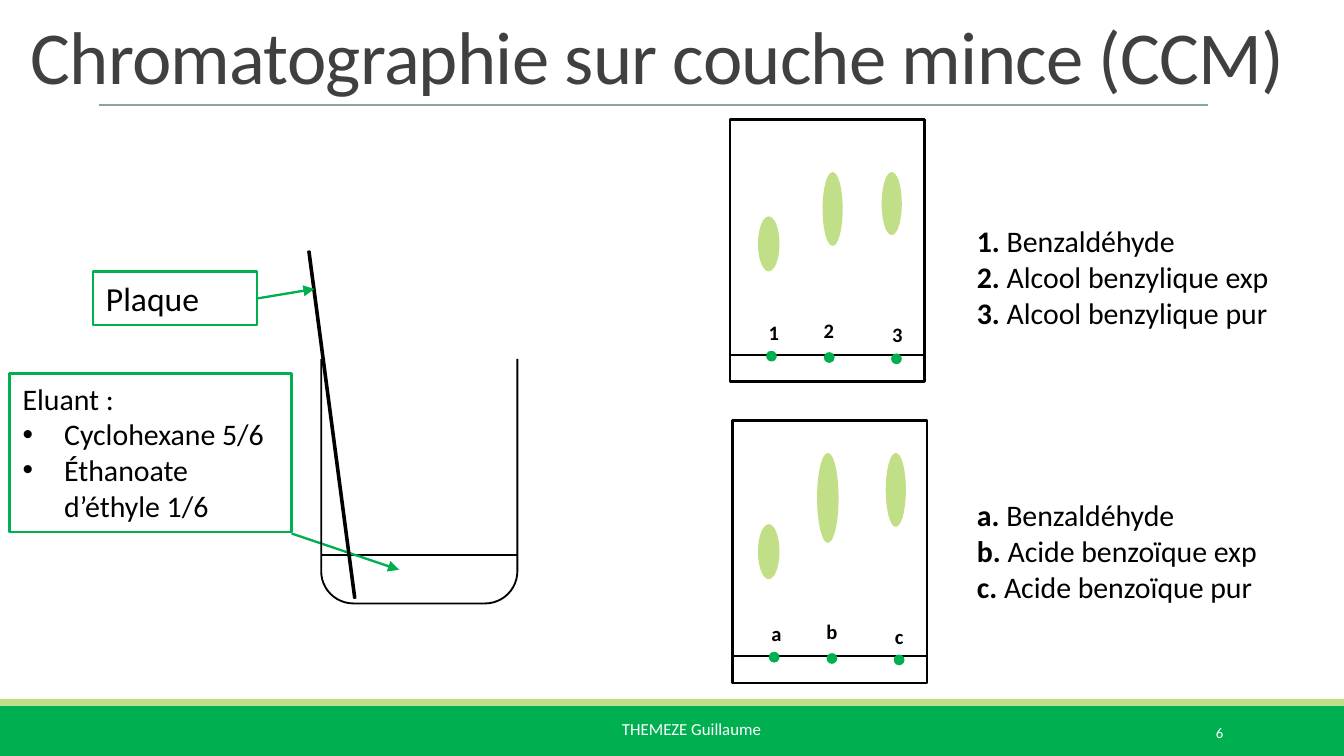
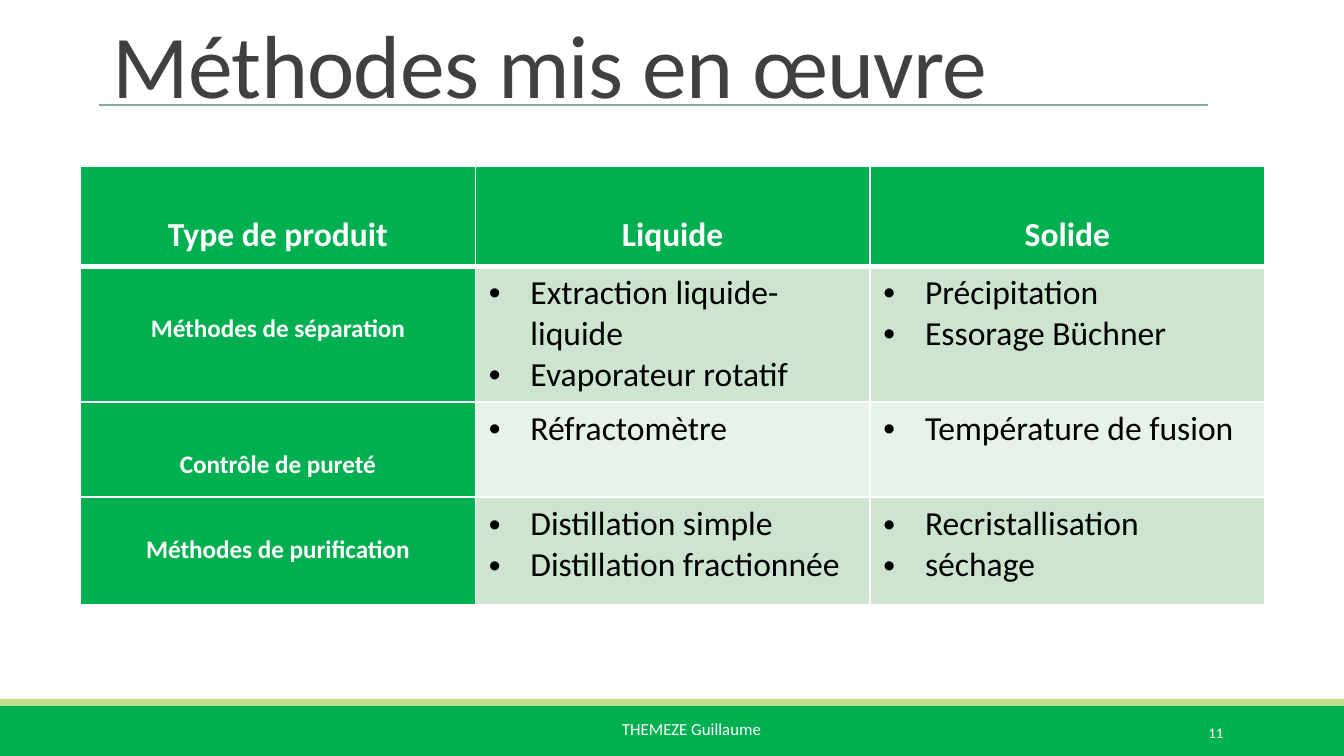
import math
from dataclasses import dataclass
from typing import Any, NamedTuple, Optional

import lxml.etree
import pptx
import pptx.dml.color
import pptx.enum.shapes
import pptx.enum.text
import pptx.oxml.ns
import pptx.util

# Colours
RGBColor = pptx.dml.color.RGBColor
GREEN = RGBColor(0x00, 0xB0, 0x50)
LIME = RGBColor(0xC1, 0xDF, 0x87)
SAGE = RGBColor(0x87, 0xA8, 0x96)
MINT = RGBColor(0xCC, 0xE4, 0xD0)
PALE_MINT = RGBColor(0xE7, 0xF2, 0xE9)
GREY = RGBColor(0xA6, 0xA6, 0xA6)
CHARCOAL = RGBColor(0x40, 0x40, 0x40)
BLACK = RGBColor(0x00, 0x00, 0x00)
WHITE = RGBColor(0xFF, 0xFF, 0xFF)

# Grid of square modules covering the slide
COLUMNS, ROWS = 100, 56.25
MODULE = pptx.util.Inches(0.1)
BULLET_INDENT = 3.1
FONT = "Calibri"

Shape = pptx.enum.shapes.MSO_SHAPE
Align = pptx.enum.text.PP_ALIGN
Anchor = pptx.enum.text.MSO_ANCHOR


class Area(NamedTuple):
    left: float
    top: float
    width: float
    height: float

    def moved(self, right: float, down: float) -> "Area":
        return Area(self.left + right, self.top + down, self.width, self.height)


class Point(NamedTuple):
    column: float
    row: float


class Span(NamedTuple):
    text: str
    bold: bool = False


class Para(NamedTuple):
    spans: tuple[Span, ...]
    bullet: bool = False


@dataclass(frozen=True)
class Style:
    size: float
    color: RGBColor = BLACK
    align: Align = Align.LEFT
    anchor: Anchor = Anchor.TOP
    wrap: bool = True
    line_spacing: Optional[float] = None
    tracking: Optional[int] = None


@dataclass(frozen=True)
class Plate:
    corner: Point
    marks: str
    stains: tuple[Area, ...]
    legend_top: float
    substances: tuple[str, ...]


def grid(modules: float) -> int:
    return round(modules * MODULE)


def set_attributes(target: Any, values: dict[str, Any]) -> None:
    for name, value in values.items():
        setattr(target, name, value)


def plain(text: str, bold: bool = False, bullet: bool = False) -> Para:
    return Para((Span(text, bold),), bullet)


# Text
def write(frame: Any, paras: list[Para], style: Style) -> None:
    for index, content in enumerate(paras):
        para = frame.paragraphs[0] if index == 0 else frame.add_paragraph()
        set_attributes(para, {"alignment": style.align, "line_spacing": style.line_spacing})
        if content.bullet:
            properties = para._p.get_or_add_pPr()
            properties.set("marL", str(grid(BULLET_INDENT)))
            properties.set("indent", str(-grid(BULLET_INDENT)))
            for tag, values in (("a:buFont", {"typeface": "Arial"}), ("a:buChar", {"char": "•"})):
                lxml.etree.SubElement(properties, pptx.oxml.ns.qn(tag), values)
        for piece in content.spans:
            span = para.add_run()
            span.text = piece.text
            set_attributes(span.font, {"name": FONT, "size": pptx.util.Pt(style.size),
                                       "bold": piece.bold})
            span.font.color.rgb = style.color
            if style.tracking is not None:
                span._r.get_or_add_rPr().set("spc", str(style.tracking))


def add_text(page: Any, area: Area, paras: list[Para], style: Style) -> None:
    box = page.shapes.add_textbox(*map(grid, area))
    set_attributes(box.text_frame, {"word_wrap": style.wrap, "vertical_anchor": style.anchor})
    write(box.text_frame, paras, style)


# Shapes and lines
def paint(shape: Any, fill: Optional[RGBColor], line: Optional[RGBColor], weight: float) -> None:
    shape.shadow.inherit = False
    for part, color in ((shape.fill, fill), (shape.line.fill, line)):
        if color is None:
            part.background()
        else:
            part.solid()
            part.fore_color.rgb = color
    if line is not None:
        shape.line.width = pptx.util.Pt(weight)


def add_shape(page: Any, kind: Shape, area: Area, fill: RGBColor,
              line: Optional[RGBColor] = None, weight: float = 1.25) -> Any:
    shape = page.shapes.add_shape(kind, *map(grid, area))
    paint(shape, fill, line, weight)
    return shape


def add_line(page: Any, start: Point, end: Point, color: RGBColor = BLACK,
             weight: float = 1, arrow: bool = False) -> None:
    line = page.shapes.add_connector(pptx.enum.shapes.MSO_CONNECTOR.STRAIGHT,
                                     *map(grid, (*start, *end)))
    line.line.color.rgb = color
    line.line.width = pptx.util.Pt(weight)
    if arrow:
        lxml.etree.SubElement(line.line._get_or_add_ln(), pptx.oxml.ns.qn("a:tailEnd"),
                              {"type": "triangle"})
    lxml.etree.SubElement(line._element.spPr, pptx.oxml.ns.qn("a:effectLst"))


def add_callout(page: Any, area: Area, paras: list[Para], size: float) -> None:
    box = add_shape(page, Shape.RECTANGLE, area, WHITE, GREEN)
    set_attributes(box.text_frame, {"word_wrap": True, "vertical_anchor": Anchor.TOP})
    write(box.text_frame, paras, Style(size))


# Shared page frame
def add_page(deck: Any, number: int, title: str, title_area: Area, title_size: float) -> Any:
    page = deck.slides.add_slide(deck.slide_layouts[6])
    add_shape(page, Shape.RECTANGLE, Area(0, 52.5, COLUMNS, ROWS - 52.5), GREEN)
    add_shape(page, Shape.RECTANGLE, Area(0, 52, COLUMNS, 0.5), LIME)
    add_line(page, Point(7.4, 7.8), Point(89.9, 7.8), SAGE)
    add_text(page, Area(45.3, 53, 12.3, 4.5), [plain("THEMEZE Guillaume")],
             Style(9, WHITE, wrap=False))
    add_text(page, Area(81.2, 53, 10.8, 3), [plain(str(number))],
             Style(7.9, WHITE, Align.RIGHT, Anchor.MIDDLE))
    add_text(page, title_area, [plain(title)],
             Style(title_size, CHARCOAL, anchor=Anchor.BOTTOM, line_spacing=0.85, tracking=-40))
    return page


# Chromatography tank
def add_beaker(page: Any, area: Area, radius: float) -> None:
    left, top, right, bottom = area.left, area.top, area.left + area.width, area.top + area.height
    steps = 12
    outline = [Point(left, top)]
    for center, first_angle in ((left + radius, 180), (right - radius, 90)):
        for step in range(steps + 1):
            angle = math.radians(first_angle - 90 * step / steps)
            outline.append(Point(center + radius * math.cos(angle),
                                 bottom - radius + radius * math.sin(angle)))
    outline.append(Point(right, top))
    builder = page.shapes.build_freeform(*map(grid, outline[0]))
    builder.add_line_segments([tuple(map(grid, point)) for point in outline[1:]], close=False)
    paint(builder.convert_to_shape(), None, BLACK, 1)


def add_tank(page: Any) -> None:
    add_line(page, Point(23.9, 41.3), Point(38.5, 41.3))
    eluent = [plain("Eluant :"), plain("Cyclohexane 5/6", bullet=True),
              plain("Éthanoate d’éthyle 1/6", bullet=True)]
    add_callout(page, Area(0.7, 27.8, 21, 11.8), eluent, 16)
    add_line(page, Point(21.7, 39.7), Point(29.7, 42.4), GREEN, 1.25, arrow=True)
    add_beaker(page, Area(23.9, 26.7, 14.6, 18.2), 2.4)
    strip = add_shape(page, Shape.PARALLELOGRAM, Area(24.4, 18.6, 0.6, 26), GREY, BLACK, 1)
    strip.adjustments[0] = 0.78
    strip.rotation = 353.5
    strip._element.spPr.xfrm.set("flipH", "1")
    add_callout(page, Area(6.9, 20.2, 12.2, 4), [plain("Plaque")], 18)
    add_line(page, Point(19.2, 22.2), Point(23.4, 21.5), GREEN, 1.25, arrow=True)


# Developed plates, with places counted from the plate's corner
PLATE_WIDTH, PLATE_HEIGHT, BASELINE = 14.5, 19.5, 17.5
DEPOSITS = (Area(2.7, 17.2, 0.8, 0.8), Area(7, 17.3, 0.8, 0.8), Area(12, 17.4, 0.8, 0.8))
MARKS = (Area(1.9, 14.4, 2.5, 2.9), Area(6, 14.3, 2.5, 2.9), Area(11.1, 14.6, 2.5, 2.9))
PLATES = (
    Plate(Point(54.3, 8.9), "123",
          (Area(2.1, 7.2, 1.6, 4.1), Area(6.9, 3.9, 1.5, 5.5), Area(11.3, 3.9, 1.5, 4.7)),
          16.1, ("Benzaldéhyde", "Alcool benzylique exp", "Alcool benzylique pur")),
    Plate(Point(54.5, 31.3), "abc",
          (Area(1.9, 7.7, 1.6, 4.1), Area(6.3, 2.4, 1.6, 6.7), Area(11.4, 2.4, 1.5, 5.5)),
          36.5, ("Benzaldéhyde", "Acide benzoïque exp", "Acide benzoïque pur")),
)


def add_plate(page: Any, plate: Plate) -> None:
    left, top = plate.corner
    add_shape(page, Shape.RECTANGLE, Area(left, top, PLATE_WIDTH, PLATE_HEIGHT), WHITE, BLACK)
    add_line(page, Point(left, top + BASELINE), Point(left + PLATE_WIDTH, top + BASELINE))
    for areas, color in ((DEPOSITS, GREEN), (plate.stains, LIME)):
        for area in areas:
            add_shape(page, Shape.OVAL, area.moved(left, top), color)
    for mark, area in zip(plate.marks, MARKS):
        add_text(page, area.moved(left, top), [plain(mark, bold=True)], Style(11))
    legend = [Para((Span(f"{mark}. ", True), Span(name)))
              for mark, name in zip(plate.marks, plate.substances)]
    add_text(page, Area(71.7, plate.legend_top, 24.9, 9.1), legend, Style(16))


# Table of methods
class MethodRow(NamedTuple):
    height: float
    label: str
    label_margin: float
    fill: RGBColor
    methods: tuple[tuple[str, ...], ...]


HEADINGS = ("Type de produit", "Liquide", "Solide")
HEADING_HEIGHT, HEADING_MARGIN = 7.4, 3.55
METHOD_ROWS = (
    MethodRow(10.1, "Méthodes de séparation", 3.55, MINT,
              (("Extraction liquide-liquide", "Evaporateur rotatif"),
               ("Précipitation", "Essorage Büchner"))),
    MethodRow(7.1, "Contrôle de pureté", 3.55, PALE_MINT,
              (("Réfractomètre",), ("Température de fusion",))),
    MethodRow(8, "Méthodes de purification", 2.8, MINT,
              (("Distillation simple", "Distillation fractionnée"),
               ("Recristallisation", "séchage"))),
)


def fill_cell(cell: Any, paras: list[Para], style: Style, fill: RGBColor,
              margin: float = 0.5, top_line: float = 1, bottom_line: float = 1) -> None:
    properties = cell._tc.get_or_add_tcPr()
    for side, weight in (("L", 1), ("R", 1), ("T", top_line), ("B", bottom_line)):
        border = lxml.etree.SubElement(properties, pptx.oxml.ns.qn(f"a:ln{side}"),
                                       {"w": str(pptx.util.Pt(weight))})
        solid = lxml.etree.SubElement(border, pptx.oxml.ns.qn("a:solidFill"))
        lxml.etree.SubElement(solid, pptx.oxml.ns.qn("a:srgbClr"), {"val": str(WHITE)})
    cell.fill.solid()
    cell.fill.fore_color.rgb = fill
    set_attributes(cell, {"margin_top": grid(margin), "vertical_anchor": Anchor.TOP})
    write(cell.text_frame, paras, style)


def add_methods(page: Any, left: float, top: float, width: float) -> None:
    heights = [HEADING_HEIGHT, *(row.height for row in METHOD_ROWS)]
    area = Area(left, top, width, sum(heights))
    table = page.shapes.add_table(len(heights), len(HEADINGS), *map(grid, area)).table
    set_attributes(table, {"first_row": True, "horz_banding": False})
    for column in table.columns:
        column.width = grid(width / len(HEADINGS))
    for table_row, height in zip(table.rows, heights):
        table_row.height = grid(height)
    for index, heading in enumerate(HEADINGS):
        fill_cell(table.cell(0, index), [plain(heading, bold=True)],
                  Style(18, WHITE, Align.CENTER), GREEN, HEADING_MARGIN, bottom_line=3)
    for number, row in enumerate(METHOD_ROWS, start=1):
        top_line = 3 if number == 1 else 1
        fill_cell(table.cell(number, 0), [plain(row.label, bold=True)],
                  Style(13.5, WHITE, Align.CENTER), GREEN, row.label_margin, top_line)
        for index, names in enumerate(row.methods, start=1):
            fill_cell(table.cell(number, index), [plain(name, bullet=True) for name in names],
                      Style(18), row.fill, top_line=top_line)


def main() -> None:
    deck = pptx.Presentation()
    set_attributes(deck, {"slide_width": grid(COLUMNS), "slide_height": grid(ROWS)})

    page = add_page(deck, 6, "Chromatographie sur couche mince (CCM)",
                    Area(1.3, 0.3, 98.7, 7.6), 40)
    add_tank(page)
    for plate in PLATES:
        add_plate(page, plate)

    page = add_page(deck, 11, "Méthodes mis en œuvre", Area(7.4, 1.6, 82.5, 7.6), 48)
    add_methods(page, 6, 12.4, 88.1)

    deck.save("out.pptx")


if __name__ == "__main__":
    main()
